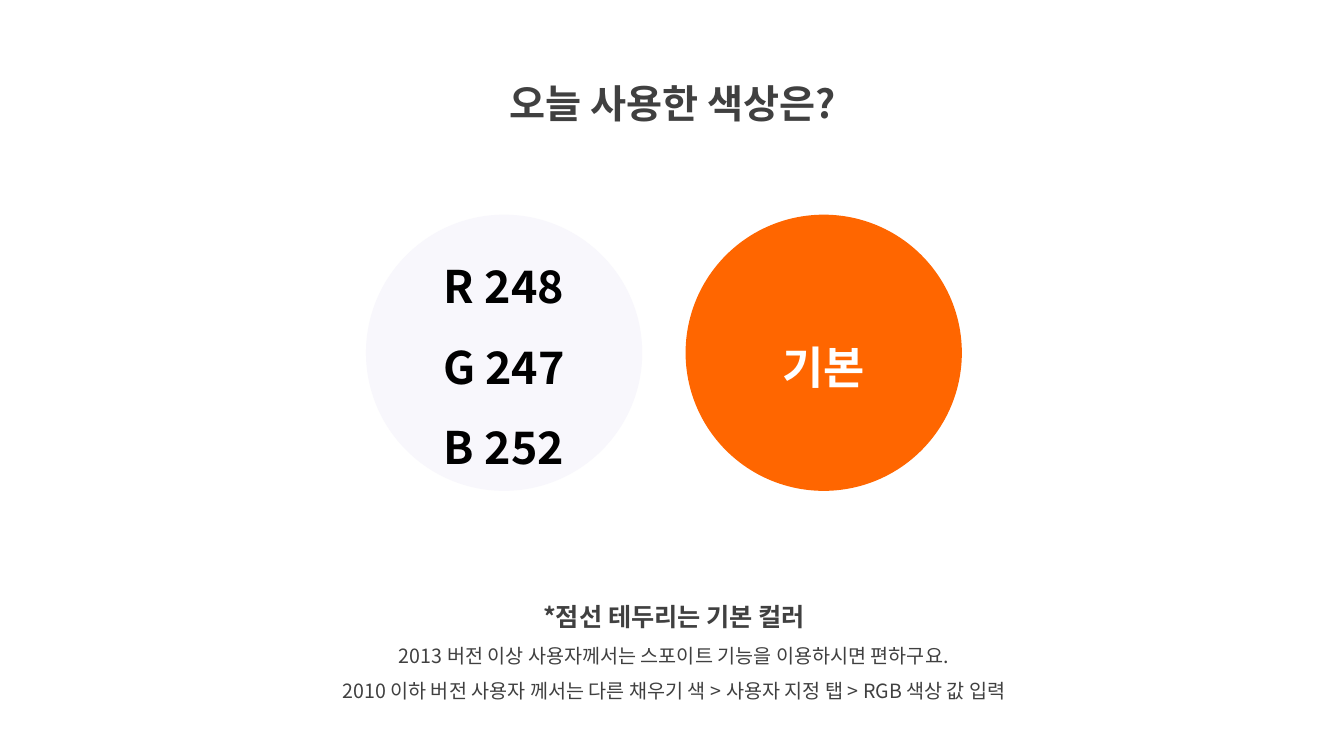
import pptx
import pptx.util
import pptx.dml.color
import pptx.enum.shapes
import pptx.enum.text
import pptx.oxml.ns
import lxml.etree

Inches = pptx.util.Inches
FONT = "Noto Sans CJK KR"
COLORS = {
    "text": "404040",
    "black": "000000",
    "white": "FFFFFF",
    "pale": "F8F7FC",
    "orange": "FF6600",
}
CIRCLE_TOP, CIRCLE_SIZE = 2.13, 2.74


def rgb(name):
    return pptx.dml.color.RGBColor.from_string(COLORS[name])


def write_line(paragraph, text, size, color="text", bold=False):
    """Write one centred line in the Korean font."""
    paragraph.alignment = pptx.enum.text.PP_ALIGN.CENTER
    paragraph.line_spacing = 1.5
    run = paragraph.add_run()
    run.text = text
    run.font.name = FONT
    run.font.size = pptx.util.Pt(size)
    run.font.bold = bold
    run.font.color.rgb = rgb(color)
    # Hangul takes its typeface from the East Asian font
    east_asian = lxml.etree.SubElement(run.font._element, pptx.oxml.ns.qn("a:ea"))
    east_asian.set("typeface", FONT)


def write_lines(frame, lines):
    """Fill a text frame from (text, format) pairs."""
    frame.word_wrap = True
    for index, (text, style) in enumerate(lines):
        paragraph = frame.add_paragraph() if index else frame.paragraphs[0]
        write_line(paragraph, text, **style)


def add_text(slide, left, top, width, height, lines):
    box = slide.shapes.add_textbox(
        Inches(left), Inches(top), Inches(width), Inches(height))
    write_lines(box.text_frame, lines)
    box.text_frame.auto_size = pptx.enum.text.MSO_AUTO_SIZE.SHAPE_TO_FIT_TEXT


def add_color_circle(slide, left, fill, labels, color):
    circle = slide.shapes.add_shape(
        pptx.enum.shapes.MSO_SHAPE.OVAL, Inches(left), Inches(CIRCLE_TOP),
        Inches(CIRCLE_SIZE), Inches(CIRCLE_SIZE))
    circle.shadow.inherit = False
    circle.fill.solid()
    circle.fill.fore_color.rgb = rgb(fill)
    circle.line.fill.background()
    circle.text_frame.vertical_anchor = pptx.enum.text.MSO_ANCHOR.MIDDLE
    style = {"size": 32, "color": color, "bold": True}
    write_lines(circle.text_frame, [(label, style) for label in labels])


def main():
    deck = pptx.Presentation()
    deck.slide_width, deck.slide_height = Inches(13.33), Inches(7.5)
    slide = deck.slides.add_slide(deck.slide_layouts[6])

    # Title
    add_text(slide, 4.36, 0.5, 4.63, 0.72,
             [("오늘 사용한 색상은?", {"size": 28, "bold": True})])

    # How to apply the colours
    add_text(slide, 2.69, 5.77, 7.99, 1.26, [
        ("*점선 테두리는 기본 컬러", {"size": 18, "bold": True}),
        ("2013 버전 이상 사용자께서는 스포이트 기능을 이용하시면 편하구요.", {"size": 14}),
        ("2010 이하 버전 사용자 께서는 다른 채우기 색 > 사용자 지정 탭 > RGB 색상 값 입력",
         {"size": 14}),
    ])

    # Colours used
    add_color_circle(slide, 3.63, "pale", ["R 248", "G 247", "B 252"], "black")
    add_color_circle(slide, 6.8, "orange", ["기본"], "white")

    deck.save("out.pptx")


if __name__ == "__main__":
    main()
